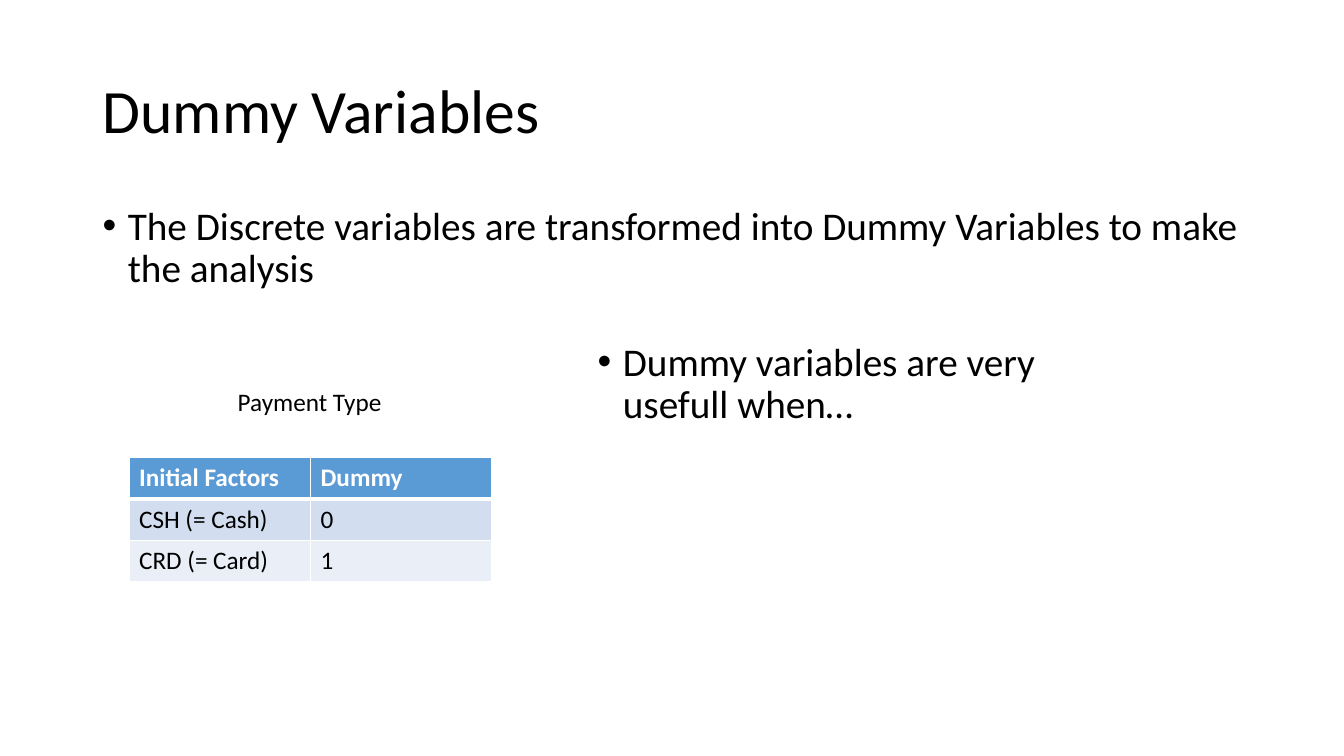
from dataclasses import dataclass

from lxml.etree import SubElement
from pptx import Presentation
from pptx.dml.color import RGBColor
from pptx.enum.text import MSO_ANCHOR, MSO_AUTO_SIZE
from pptx.oxml.ns import qn
from pptx.util import Inches, Pt

FONT = "Calibri"
COLORS = {
    "text": "000000",
    "white": "FFFFFF",
    "header": "5B9BD5",
    "odd row": "D2DEEF",
    "even row": "EAEFF7",
}
BULLET_FORMAT = {"line_spacing": 0.9, "space_before": Pt(10)}


@dataclass
class TextBlock:
    text: str
    left: float
    top: float
    width: float
    height: float
    size: int
    paragraph_format: dict
    frame_format: dict
    bullet: bool = False


@dataclass
class TableRow:
    cells: tuple
    fill: str
    color: str = "text"
    bold: bool = False
    bottom_border: int = 1


TEXT_BLOCKS = [
    TextBlock("Dummy Variables", 0.92, 0.4, 11.5, 1.45, 44, {"line_spacing": 0.9},
              {"word_wrap": True, "vertical_anchor": MSO_ANCHOR.MIDDLE}),
    TextBlock("The Discrete variables are transformed into Dummy Variables to make the analysis",
              0.92, 2, 11.5, 1.21, 28, BULLET_FORMAT, {"word_wrap": True}, True),
    TextBlock("Payment Type", 2.26, 3.78, 1.64, 0.4, 18, {},
              {"word_wrap": False, "auto_size": MSO_AUTO_SIZE.SHAPE_TO_FIT_TEXT}),
    TextBlock("Dummy variables are very usefull when…",
              5.83, 3.35, 5.63, 2.9, 28, BULLET_FORMAT, {"word_wrap": True}, True),
]
TABLE_ROWS = [
    TableRow(("Initial Factors", "Dummy"), "header", "white", True, 3),
    TableRow(("CSH (= Cash)", "0"), "odd row"),
    TableRow(("CRD (= Card)", "1"), "even row"),
]


def set_attributes(target, values: dict) -> None:
    for name, value in values.items():
        setattr(target, name, value)


def write_text(frame, text: str, size: int, color: str, bold: bool = False):
    para = frame.paragraphs[0]
    span = para.add_run()
    span.text = text
    set_attributes(span.font, {"name": FONT, "size": Pt(size), "bold": bold})
    span.font.color.rgb = RGBColor.from_string(COLORS[color])
    return para


def add_bullet(para) -> None:
    properties = para._p.get_or_add_pPr()
    properties.set("marL", str(Inches(0.25)))
    properties.set("indent", str(Inches(-0.25)))
    SubElement(properties, qn("a:buFont"), typeface="Arial")
    SubElement(properties, qn("a:buChar"), char="•")


def add_text_block(page, block: TextBlock) -> None:
    box = page.shapes.add_textbox(
        Inches(block.left), Inches(block.top), Inches(block.width), Inches(block.height))
    set_attributes(box.text_frame, block.frame_format)
    para = write_text(box.text_frame, block.text, block.size, "text")
    set_attributes(para, block.paragraph_format)
    if block.bullet:
        add_bullet(para)


def add_borders(cell, widths: dict) -> None:
    properties = cell._tc.get_or_add_tcPr()
    for side, width in widths.items():
        line = SubElement(properties, qn(f"a:ln{side}"), w=str(Pt(width)))
        fill = SubElement(line, qn("a:solidFill"))
        SubElement(fill, qn("a:srgbClr"), val=COLORS["white"])


def add_payment_table(page, rows: list) -> None:
    column_width, row_height = 1.8, 0.41
    column_count = len(rows[0].cells)
    table = page.shapes.add_table(
        len(rows), column_count, Inches(1.28), Inches(4.54),
        Inches(column_width * column_count), Inches(row_height * len(rows))).table
    top_border = 1
    for row_index, row in enumerate(rows):
        for column_index, text in enumerate(row.cells):
            cell = table.cell(row_index, column_index)
            write_text(cell.text_frame, text, 18, row.color, row.bold)
            add_borders(cell, {"L": 1, "R": 1, "T": top_border, "B": row.bottom_border})
            cell.fill.solid()
            cell.fill.fore_color.rgb = RGBColor.from_string(COLORS[row.fill])
        top_border = row.bottom_border


deck = Presentation()
set_attributes(deck, {"slide_width": Inches(13.33), "slide_height": Inches(7.5)})
page = deck.slides.add_slide(deck.slide_layouts[6])
for block in TEXT_BLOCKS:
    add_text_block(page, block)
add_payment_table(page, TABLE_ROWS)
deck.save("out.pptx")
